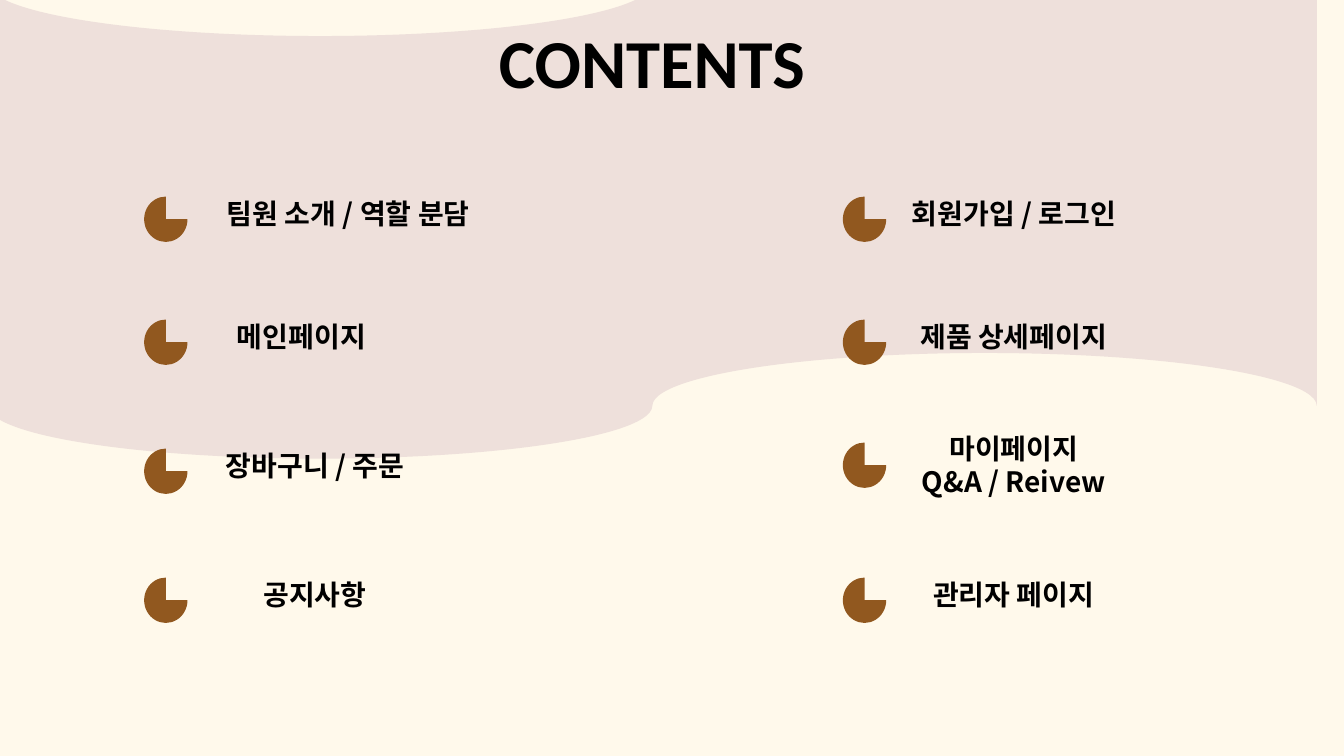
from dataclasses import dataclass

from pptx import Presentation
from pptx.dml.color import RGBColor
from pptx.enum.shapes import MSO_SHAPE
from pptx.enum.text import MSO_ANCHOR, PP_ALIGN
from pptx.oxml.ns import qn
from pptx.util import Inches, Pt

PIE = MSO_SHAPE.PIE
WAVE = MSO_SHAPE.FLOWCHART_PUNCHED_TAPE
CENTER = PP_ALIGN.CENTER
TOP = MSO_ANCHOR.TOP

CREAM = RGBColor(0xFF, 0xF9, 0xEB)
BLUSH = RGBColor(0xEE, 0xE0, 0xDB)
BROWN = RGBColor(0x91, 0x58, 0x1F)
BLACK = RGBColor(0, 0, 0)
LATIN_FONT = "Calibri"
KOREAN_FONT = "Noto Sans CJK KR"

LEFT_COLUMN, RIGHT_COLUMN = 1.43, 8.36
PIE_WIDTH, PIE_HEIGHT = 0.43, 0.45
LABEL_HEIGHT = 0.43


@dataclass
class Topic:
    text: str
    left: float
    top: float
    width: float = 2.53
    lift: float = 0  # how far the label starts above its pie
    height: float = LABEL_HEIGHT


TOPICS = [
    Topic("팀원 소개 / 역할 분담", LEFT_COLUMN, 1.95, width=3.19),
    Topic("회원가입 / 로그인", RIGHT_COLUMN, 1.95),
    Topic("메인페이지", LEFT_COLUMN, 3.17, width=2.26),
    Topic("제품 상세페이지", RIGHT_COLUMN, 3.17),
    Topic("장바구니 / 주문", LEFT_COLUMN, 4.45),
    Topic("마이페이지\vQ&A / Reivew", RIGHT_COLUMN, 4.39, lift=0.16, height=0.9),
    Topic("공지사항", LEFT_COLUMN, 5.73),
    Topic("관리자 페이지", RIGHT_COLUMN, 5.73),
]


def add_filled(slide, preset: MSO_SHAPE, left: float, top: float,
               width: float, height: float, color: RGBColor) -> None:
    shape = slide.shapes.add_shape(
        preset, Inches(left), Inches(top), Inches(width), Inches(height))
    shape.shadow.inherit = False
    shape.fill.solid()
    shape.fill.fore_color.rgb = color
    shape.line.fill.background()


def write(frame, text: str, font_name: str, size: float) -> None:
    frame.text = text
    frame.word_wrap = True
    frame.vertical_anchor = TOP
    paragraph = frame.paragraphs[0]
    paragraph.alignment = CENTER
    for run in paragraph.runs:
        run.font.name = font_name
        run.font.size = Pt(size)
        run.font.bold = True
        run.font.color.rgb = BLACK
        east_asian = run.font._element.makeelement(
            qn("a:ea"), {"typeface": font_name})
        run.font._element.append(east_asian)


def add_topic(slide, topic: Topic) -> None:
    add_filled(slide, PIE, topic.left, topic.top, PIE_WIDTH, PIE_HEIGHT, BROWN)
    label = slide.shapes.add_textbox(
        Inches(topic.left + PIE_WIDTH), Inches(topic.top - topic.lift),
        Inches(topic.width), Inches(topic.height))
    frame = label.text_frame
    write(frame, topic.text, KOREAN_FONT, 20)
    frame.margin_top = frame.margin_bottom = Inches(0.05 if topic.lift else 0)


def main() -> None:
    prs = Presentation()
    prs.slide_width, prs.slide_height = Inches(13.33), Inches(7.5)
    slide = prs.slides.add_slide(prs.slide_layouts[5])

    # Background
    slide.background.fill.solid()
    slide.background.fill.fore_color.rgb = CREAM
    add_filled(slide, WAVE, -0.12, -0.69, 13.18, 5.24, BLUSH)

    # Title, brought in front of the wave
    heading = slide.shapes.title
    slide.shapes._spTree.append(heading._element)
    heading.left, heading.top = Inches(4.11), Inches(0.15)
    heading.width, heading.height = Inches(4.71), Inches(0.92)
    write(heading.text_frame, "CONTENTS", LATIN_FONT, 49)

    # Topics
    for topic in TOPICS:
        add_topic(slide, topic)

    prs.save("out.pptx")


if __name__ == "__main__":
    main()
